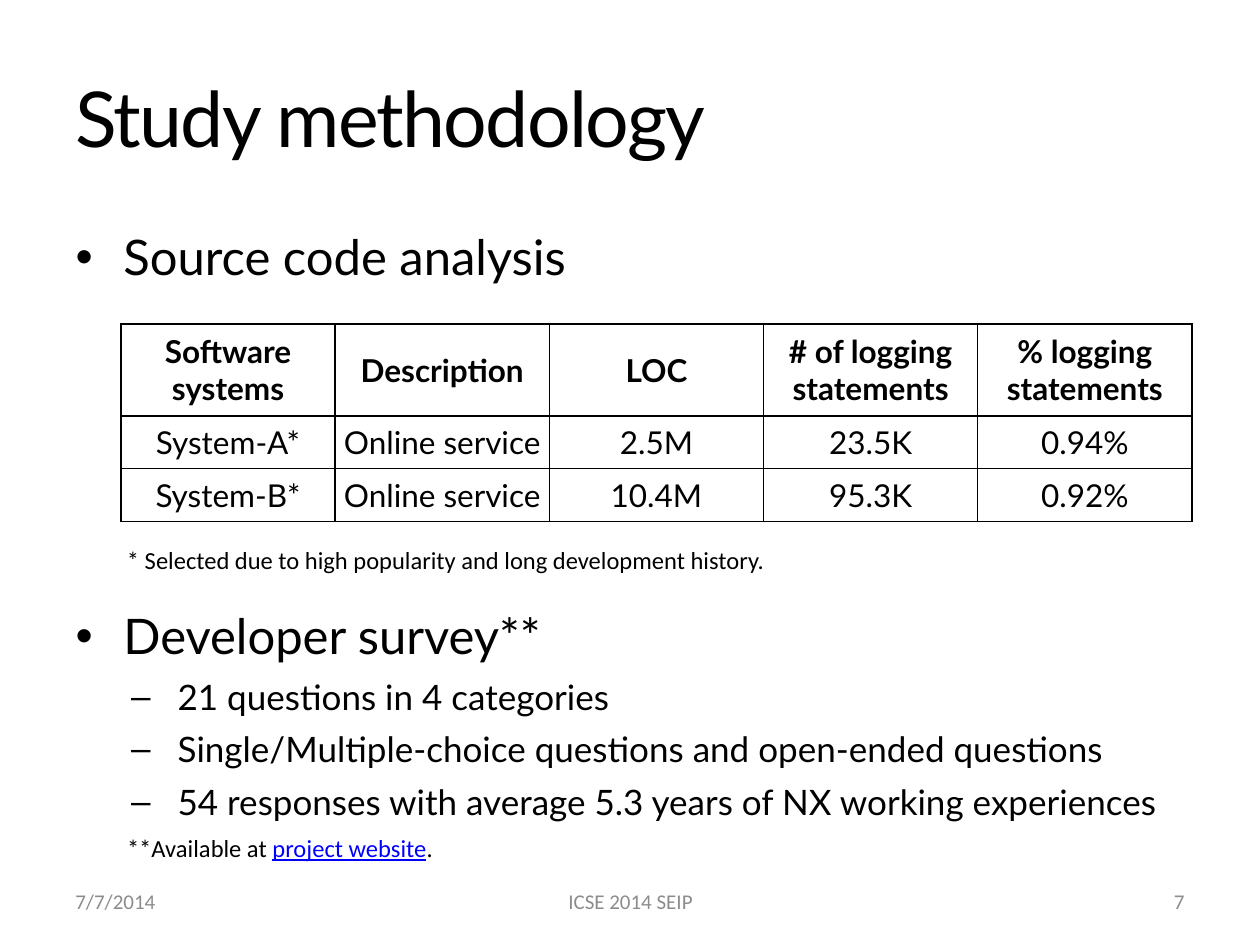
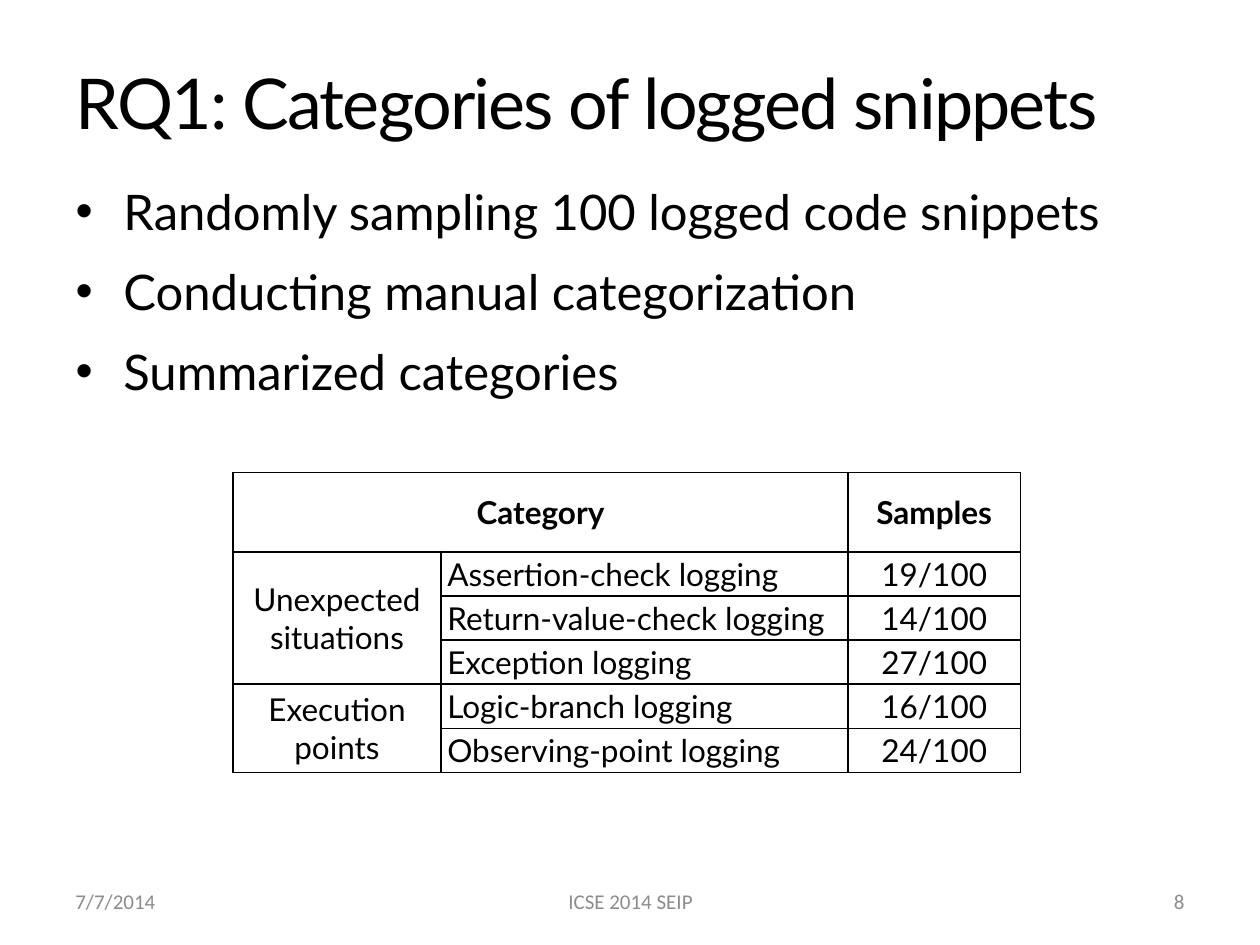
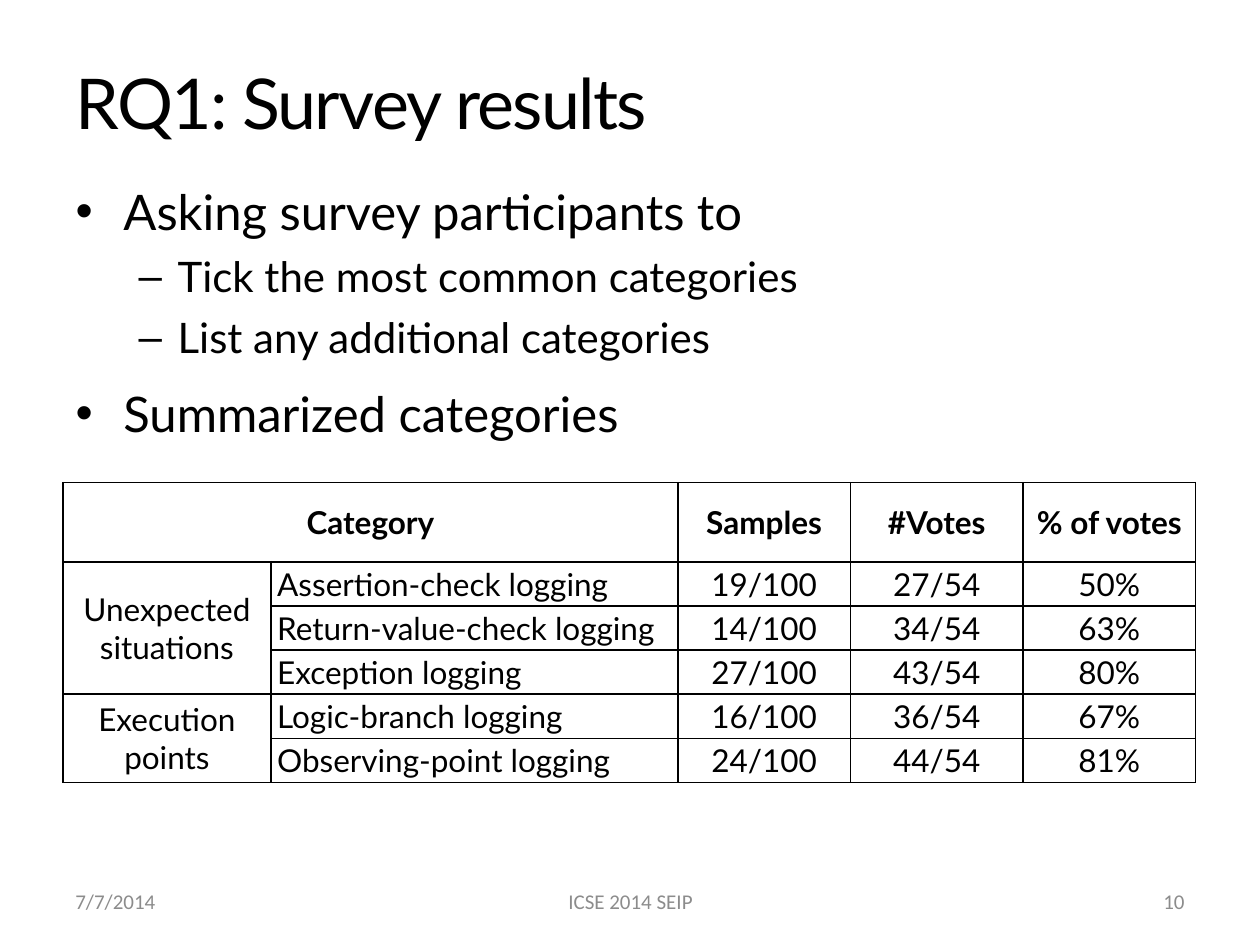
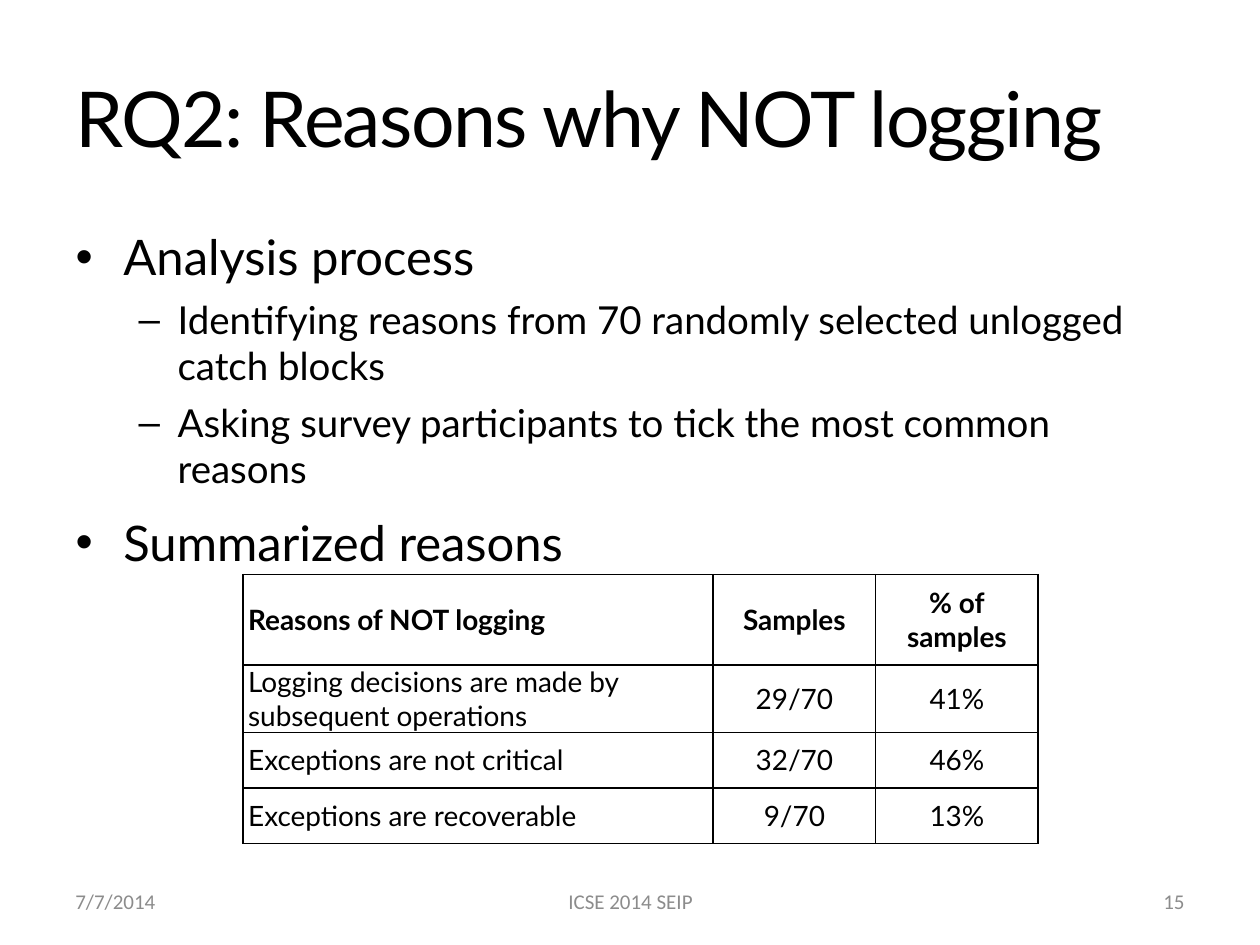
import pptx
import pptx.dml.color
import pptx.enum.text
import pptx.oxml
import pptx.oxml.ns
import pptx.util

Inches = pptx.util.Inches
Pt = pptx.util.Pt
ALIGN = pptx.enum.text.PP_ALIGN
MIDDLE = pptx.enum.text.MSO_ANCHOR.MIDDLE

COLORS = {"ink": "000000", "footer": "8C8C8C", "link": "0000FF"}
HEADING_FONT, NOTE_FONT = "Lato", "Calibri"
LEFT, WIDTH, BODY_BOTTOM = 0.5, 9, 6.7
BULLETS = {0: "•", 1: "–"}
BULLET_SIZE, BULLET_INDENT = 28, 0.38
THIN, THICK = 1, 1.5

SYSTEMS = [
    ["Software systems", "Description", "LOC", "# of logging statements", "% logging statements"],
    ["System-A*", "Online service", "2.5M", "23.5K", "0.94%"],
    ["System-B*", "Online service", "10.4M", "95.3K", "0.92%"],
]
CATEGORIES = [
    ["Category", "", "Samples", "#Votes", "% of votes"],
    ["Unexpected\nsituations", "Assertion-check logging", "19/100", "27/54", "50%"],
    ["", "Return-value-check logging", "14/100", "34/54", "63%"],
    ["", "Exception logging", "27/100", "43/54", "80%"],
    ["Execution\npoints", "Logic-branch logging", "16/100", "36/54", "67%"],
    ["", "Observing-point logging", "24/100", "44/54", "81%"],
]
CATEGORY_SPANS = [((0, 0), (0, 1)), ((1, 0), (3, 0)), ((4, 0), (5, 0))]
CATEGORY_WIDTHS = [1.65, 3.23, 1.37, 1.37, 1.37]
REASONS = [
    ["Reasons of NOT logging", "Samples", "% of\nsamples"],
    ["Logging decisions are made by subsequent operations", "29/70", "41%"],
    ["Exceptions are not critical", "32/70", "46%"],
    ["Exceptions are recoverable", "9/70", "13%"],
]


def write(paragraph, text, size=18, font=HEADING_FONT, color="ink", bold=False,
          underline=False, spacing=None, align=ALIGN.LEFT):
    """Append one formatted run to a paragraph."""
    paragraph.alignment = align
    run = paragraph.add_run()
    run.text = text
    run.font.size, run.font.name = Pt(size), font
    run.font.bold, run.font.underline = bold, underline
    run.font.color.rgb = pptx.dml.color.RGBColor.from_string(COLORS[color])
    if spacing is not None:
        run.font._element.set("spc", str(int(spacing * 100)))


def place(shape, box):
    """Move a shape to a box given in inches."""
    shape.left, shape.top, shape.width, shape.height = (Inches(side) for side in box)


def add_label(slide, box, runs, wrap=True, anchor=MIDDLE, **text_format):
    """Add a text box holding one line made of (text, extra format) runs."""
    frame = slide.shapes.add_textbox(*(Inches(side) for side in box)).text_frame
    frame.word_wrap, frame.vertical_anchor = wrap, anchor
    for text, extra in runs:
        write(frame.paragraphs[0], text, **{**text_format, **extra})


def add_note(slide, box, runs):
    """Add a small footnote."""
    add_label(slide, box, runs, wrap=False, anchor=pptx.enum.text.MSO_ANCHOR.TOP,
              size=14, font=NOTE_FONT)


def add_footer(slide, number):
    """Add the date, venue and page number along the bottom."""
    for left, width, text, align in [
        (LEFT, 2.33, "7/7/2014", ALIGN.LEFT),
        (3.42, 3.17, "ICSE 2014 SEIP", ALIGN.CENTER),
        (7.17, 2.33, str(number), ALIGN.RIGHT),
    ]:
        add_label(slide, (left, 6.95, width, 0.4), [(text, {})], size=12,
                  font=NOTE_FONT, color="footer", align=align)


def add_bullet(paragraph, level, text, size, margin, hanging, before):
    """Fill a paragraph as a list item with a hanging bullet."""
    paragraph.level, paragraph.space_before = level, Pt(before)
    write(paragraph, text, size=size)
    properties = paragraph._p.get_or_add_pPr()
    properties.set("marL", str(Inches(margin)))
    properties.set("indent", str(-Inches(hanging)))
    bullet = pptx.oxml.parse_xml(
        f'<a:buChar {pptx.oxml.ns.nsdecls("a")} char="{BULLETS[level]}"/>')
    properties.append(bullet)


def fill_list(body, box, items, sub_size, sub_hanging, gaps):
    """Fill the body placeholder; gaps overrides the space before an item."""
    place(body, box)
    frame = body.text_frame
    frame.auto_size = pptx.enum.text.MSO_AUTO_SIZE.NONE
    for index, (level, text) in enumerate(items):
        paragraph = frame.add_paragraph() if index else frame.paragraphs[0]
        size, margin, hanging, before = (
            (sub_size, 0.81, sub_hanging, 6) if level
            else (BULLET_SIZE, BULLET_INDENT, BULLET_INDENT, 12))
        add_bullet(paragraph, level, text, size, margin, hanging, gaps.get(index, before))


def add_list_slide(deck, number, title, items, compact=False, sub_size=22,
                   sub_hanging=0.31, gaps={}):
    """Add a slide with title, bullet list and footer."""
    slide = deck.slides.add_slide(deck.slide_layouts[1])
    heading, body = slide.placeholders
    title_height, title_size, body_top = (1.01, 40, 1.39) if compact else (1.25, 44, 1.75)
    place(heading, (LEFT, 0.3, WIDTH, title_height))
    heading.text_frame.auto_size = pptx.enum.text.MSO_AUTO_SIZE.NONE
    heading.text_frame.vertical_anchor = MIDDLE
    write(heading.text_frame.paragraphs[0], title, size=title_size, spacing=-1)
    fill_list(body, (LEFT, body_top, WIDTH, BODY_BOTTOM - body_top), items,
              sub_size, sub_hanging, gaps)
    add_footer(slide, number)
    return slide


def set_borders(cell, top, bottom):
    """Draw the four cell borders, thin at the sides."""
    for side, width in (("L", THIN), ("R", THIN), ("T", top), ("B", bottom)):
        cell._tc.get_or_add_tcPr().append(pptx.oxml.parse_xml(
            f'<a:ln{side} {pptx.oxml.ns.nsdecls("a")} w="{Pt(width)}"><a:solidFill>'
            f'<a:srgbClr val="{COLORS["ink"]}"/></a:solidFill></a:ln{side}>'))
    cell.fill.background()


def add_grid(slide, left, top, rows, widths, header_height, row_height,
             size=18, left_column=None, inset=0, spans=()):
    """Add a ruled table whose header row is bold and closed by a thicker line."""
    heights = [header_height] + [row_height] * (len(rows) - 1)
    box = (left, top, sum(widths), sum(heights))
    table = slide.shapes.add_table(len(rows), len(widths),
                                   *(Inches(side) for side in box)).table
    table.first_row = table.horz_banding = False
    for column, width in zip(table.columns, widths):
        column.width = Inches(width)
    for row, height in zip(table.rows, heights):
        row.height = Inches(height)
    for r, values in enumerate(rows):
        for c, value in enumerate(values):
            cell = table.cell(r, c)
            is_left = c == left_column
            cell.margin_top = cell.margin_bottom = 0
            cell.margin_left = cell.margin_right = Inches(inset if is_left else 0)
            cell.vertical_anchor = MIDDLE
            set_borders(cell, THICK if r == 1 else THIN, THICK if r == 0 else THIN)
            for index, line in enumerate(value.split("\n") if value else []):
                frame = cell.text_frame
                write(frame.add_paragraph() if index else frame.paragraphs[0], line,
                      size=size, bold=r == 0,
                      align=ALIGN.LEFT if is_left else ALIGN.CENTER)
    for first, last in spans:
        table.cell(*first).merge(table.cell(*last))


def add_category_grid(slide, left, top, column_count):
    """Add the logging categories with the first columns of their figures."""
    add_grid(slide, left, top, [row[:column_count] for row in CATEGORIES],
             CATEGORY_WIDTHS[:column_count], 0.63, 0.35, left_column=1,
             inset=0.05, spans=CATEGORY_SPANS)


def add_methodology(deck):
    """Build the study methodology slide."""
    slide = add_list_slide(deck, 7, "Study methodology", [
        (0, "Source code analysis"),
        (0, "Developer survey**"),
        (1, "21 questions in 4 categories"),
        (1, "Single/Multiple-choice questions and open-ended questions"),
        (1, "54 responses with average 5.3 years of NX working experiences"),
    ], sub_size=20, sub_hanging=0.37, gaps={1: 183})
    add_grid(slide, 0.96, 2.57, SYSTEMS, [1.7] * 5, 0.73, 0.42)
    add_note(slide, (0.91, 4.28, 5.27, 0.34), [
        ("* Selected due to high popularity and long development history.", {})])
    add_note(slide, (0.91, 6.56, 2.69, 0.34), [
        ("**Available at ", {}),
        ("project website", {"color": "link", "underline": True}),
        (".", {})])


def add_categories(deck):
    """Build the slide on categories of logged snippets."""
    slide = add_list_slide(deck, 8, "RQ1: Categories of logged snippets", [
        (0, "Randomly sampling 100 logged code snippets"),
        (0, "Conducting manual categorization"),
        (0, "Summarized categories"),
    ], compact=True)
    add_category_grid(slide, 1.85, 3.75, 3)


def add_survey(deck):
    """Build the survey results slide."""
    slide = add_list_slide(deck, 10, "RQ1: Survey results", [
        (0, "Asking survey participants to"),
        (1, "Tick the most common categories"),
        (1, "List any additional categories"),
        (0, "Summarized categories"),
    ], compact=True, sub_size=24)
    add_category_grid(slide, LEFT, 3.83, 5)


def add_reasons(deck):
    """Build the slide on reasons for not logging."""
    slide = add_list_slide(deck, 15, "RQ2: Reasons why NOT logging", [
        (0, "Analysis process"),
        (1, "Identifying reasons from 70 randomly selected unlogged catch blocks"),
        (1, "Asking survey participants to tick the most common reasons"),
        (0, "Summarized reasons"),
    ])
    add_grid(slide, 1.93, 4.56, REASONS, [3.73, 1.29, 1.29], 0.72, 0.44,
             size=16, left_column=0, inset=0.04)


def main():
    """Build and save the deck."""
    deck = pptx.Presentation()
    deck.slide_width, deck.slide_height = Inches(10), Inches(7.5)
    for add_slide in (add_methodology, add_categories, add_survey, add_reasons):
        add_slide(deck)
    deck.save("out.pptx")


if __name__ == "__main__":
    main()
